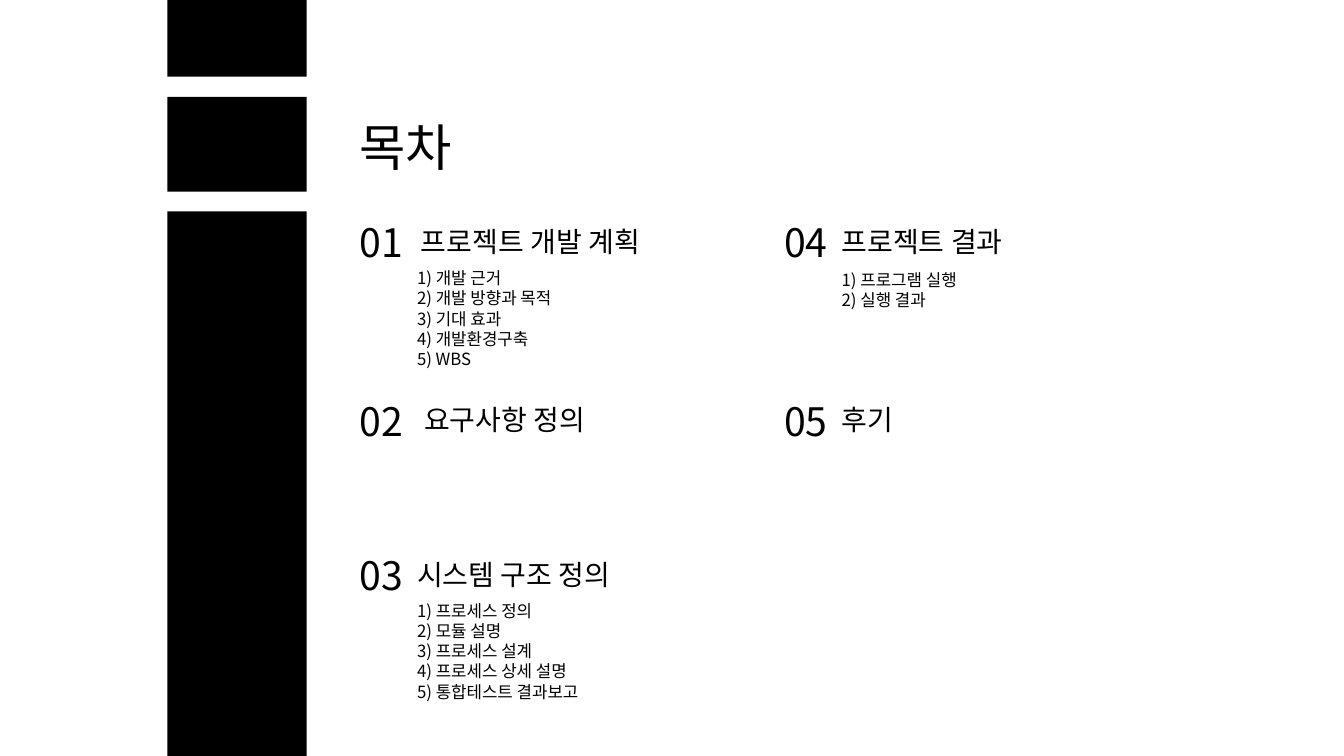
from dataclasses import dataclass

from lxml import etree
from pptx import Presentation
from pptx import util as u
from pptx.dml.color import RGBColor
from pptx.enum import shapes, text
from pptx.oxml import ns


@dataclass(frozen=True)
class Theme:
    font: str = "Noto Sans CJK KR"
    ink: str = "000000"
    outline: str = "0D0D0D"
    outline_alpha: int = 15000
    outline_width: float = 0.75
    title: int = 36
    number: int = 28
    heading: int = 20
    item: int = 12


class ContentsPage:
    def __init__(self, page, theme):
        self.page = page
        self.theme = theme

    def bar(self, left, top, width, height):
        bar = self.page.shapes.add_shape(
            shapes.MSO_SHAPE.RECTANGLE, u.Cm(left), u.Cm(top), u.Cm(width), u.Cm(height))
        bar.shadow.inherit = False
        bar.fill.solid()
        bar.fill.fore_color.rgb = RGBColor.from_string(self.theme.ink)
        bar.line.fill.background()

    def text(self, left, top, width, height, lines, size, outlined=False):
        box = self.page.shapes.add_textbox(u.Cm(left), u.Cm(top), u.Cm(width), u.Cm(height))
        frame = box.text_frame
        frame.word_wrap = True
        frame.auto_size = text.MSO_AUTO_SIZE.SHAPE_TO_FIT_TEXT
        for index, line in enumerate(lines):
            para = frame.add_paragraph() if index else frame.paragraphs[0]
            span = para.add_run()
            span.text = line
            self.style(span.font, size)
            if outlined:
                self.outline(span)

    def style(self, font, size):
        font.size = u.Pt(size)
        font.color.rgb = RGBColor.from_string(self.theme.ink)
        font.name = self.theme.font
        # East Asian typeface for the Korean text
        latin = font._element.find(ns.qn("a:latin"))
        east_asian = etree.Element(ns.qn("a:ea"), typeface=self.theme.font)
        latin.addnext(east_asian)

    def outline(self, span):
        line = etree.Element(ns.qn("a:ln"), w=str(u.Pt(self.theme.outline_width)))
        fill = etree.SubElement(line, ns.qn("a:solidFill"))
        color = etree.SubElement(fill, ns.qn("a:srgbClr"), val=self.theme.outline)
        etree.SubElement(color, ns.qn("a:alpha"), val=str(self.theme.outline_alpha))
        span.font._element.insert(0, line)

    def section(self, number, left, top, heading, heading_left, items=(), items_top=0):
        self.text(heading_left, top + 0.15, 8.18, 1.11, [heading], self.theme.heading)
        if items:
            lines = [f"{place}) {item}" for place, item in enumerate(items, 1)]
            self.text(left + 1.45, items_top, 7.5, 0.5 + 0.51 * len(items),
                      lines, self.theme.item, outlined=True)
        self.text(left, top, 1.63, 1.45, [f"{number:02}"], self.theme.number)


LEFT, RIGHT = 8.81, 19.51
ROWS = (5.38, 9.88, 13.77)
BARS = ((0, 1.93), (2.44, 2.39), (5.33, 13.72))
SECTIONS = (
    (LEFT, ROWS[0], "프로젝트 개발 계획", 10.36,
     ("개발 근거", "개발 방향과 목적", "기대 효과", "개발환경구축", "WBS"), 6.63),
    (LEFT, ROWS[1], "요구사항 정의", 10.44),
    (LEFT, ROWS[2], "시스템 구조 정의", 10.26,
     ("프로세스 정의", "모듈 설명", "프로세스 설계", "프로세스 상세 설명",
      "통합테스트 결과보고"), 15.01),
    (RIGHT, ROWS[0], "프로젝트 결과", 20.96, ("프로그램 실행", "실행 결과"), 6.68),
    (RIGHT, ROWS[1], "후기", 20.96),
)


def main():
    deck = Presentation()
    deck.slide_width, deck.slide_height = u.Cm(33.87), u.Cm(19.05)
    theme = Theme()
    contents = ContentsPage(deck.slides.add_slide(deck.slide_layouts[6]), theme)

    # Black column on the left
    for top, height in BARS:
        contents.bar(4.22, top, 3.51, height)

    # Title
    contents.text(LEFT, 2.79, 3.51, 1.8, ["목차"], theme.title)

    # Numbered sections
    for number, section in enumerate(SECTIONS, 1):
        contents.section(number, *section)

    deck.save("out.pptx")


if __name__ == "__main__":
    main()
